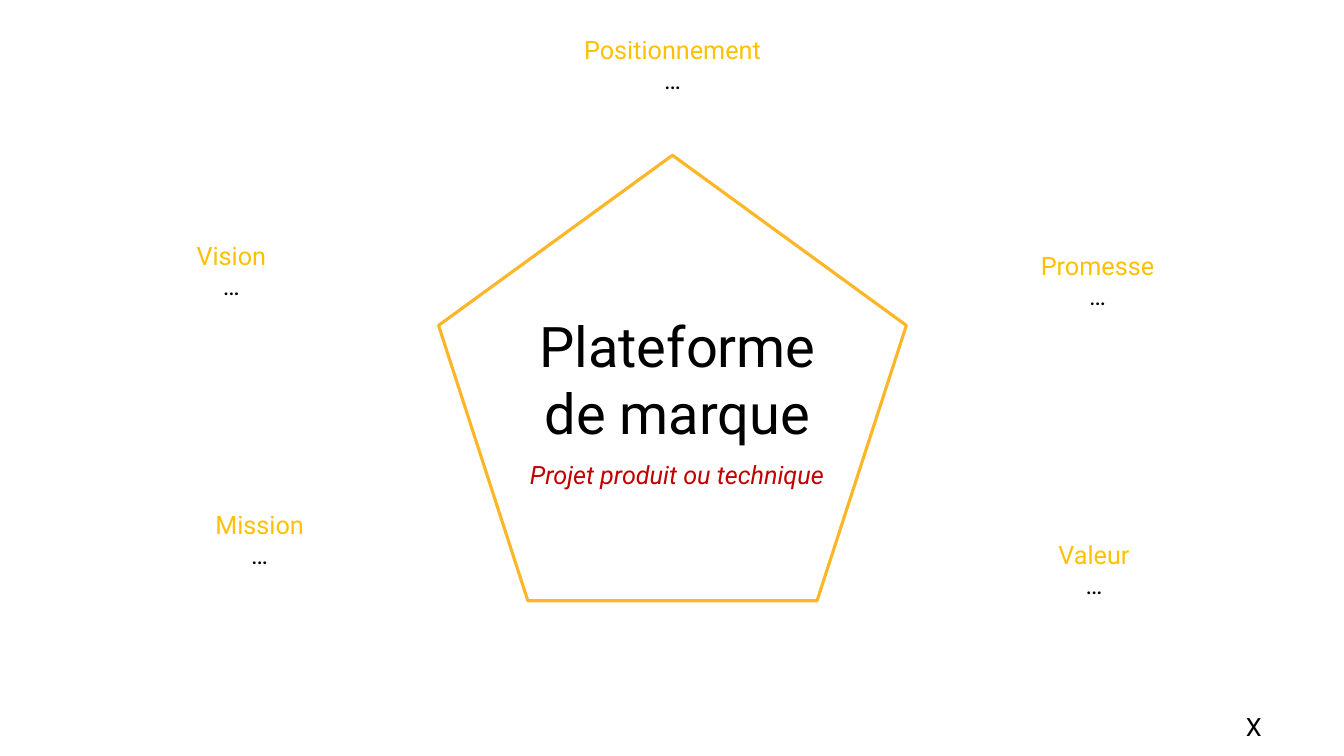
import pptx
import pptx.dml.color
import pptx.enum.shapes
import pptx.enum.text
import pptx.util

Inches = pptx.util.Inches
Shapes = pptx.enum.shapes.MSO_SHAPE
BLACK, WHITE, RED = "000000", "FFFFFF", "C00000"
LABEL_YELLOW, OUTLINE_YELLOW = "FFC000", "FDB628"


def color(value):
    return pptx.dml.color.RGBColor.from_string(value)


class BrandPage:
    font = "Roboto"

    def __init__(self, page):
        self.page = page

    def outline(self, kind, box, line, width):
        shape = self.page.shapes.add_shape(kind, *map(Inches, box))
        shape.shadow.inherit = False
        shape.fill.background()
        shape.line.color.rgb = color(line)
        shape.line.width = pptx.util.Pt(width)

    def panel(self, box, *lines):
        """Set lines on a white rectangle without a border."""
        shape = self.page.shapes.add_shape(Shapes.RECTANGLE, *map(Inches, box))
        shape.shadow.inherit = False
        shape.fill.solid()
        shape.fill.fore_color.rgb = color(WHITE)
        shape.line.fill.background()
        self.add_lines(shape, lines)

    def text(self, box, *lines):
        self.add_lines(self.page.shapes.add_textbox(*map(Inches, box)), lines)

    def add_lines(self, shape, lines):
        """Fill a shape with centred lines, each (words, colour, format)."""
        frame = shape.text_frame
        frame.word_wrap = True
        frame.auto_size = pptx.enum.text.MSO_AUTO_SIZE.SHAPE_TO_FIT_TEXT
        frame.vertical_anchor = pptx.enum.text.MSO_ANCHOR.TOP
        for index, (words, ink, extra) in enumerate(lines):
            para = frame.add_paragraph() if index else frame.paragraphs[0]
            para.alignment = pptx.enum.text.PP_ALIGN.CENTER
            span = para.add_run()
            span.text = words
            span.font.color.rgb = color(ink)
            values = {"name": self.font, "size": pptx.util.Pt(18)} | extra
            for name, value in values.items():
                setattr(span.font, name, value)


def main():
    deck = pptx.Presentation()
    deck.slide_width, deck.slide_height = Inches(13.33), Inches(7.5)
    brand = BrandPage(deck.slides.add_slide(deck.slide_layouts[6]))

    brand.outline(Shapes.REGULAR_PENTAGON, (4.35, 1.54, 4.64, 4.42), OUTLINE_YELLOW, 2.25)
    brand.panel((4.91, 3.04, 3.62, 1.45),
                ("Plateforme de marque", BLACK, {"size": pptx.util.Pt(40)}))

    labels = {
        "Positionnement": (4.56, 0.29, 4.22),
        "Promesse": (8.99, 2.43, 3.79),
        "Mission": (0.71, 5, 3.73),
        "Vision": (0.43, 2.33, 3.73),
        "Valeur": (8.53, 5.3, 4.64),
    }
    for label, place in labels.items():
        brand.text((*place, 0.71), (label, LABEL_YELLOW, {}), ("…", BLACK, {}))

    brand.text((12.19, 7.01, 0.49, 0.26), ("X", BLACK, {}))
    brand.panel((5, 4.51, 3.43, 0.4),
                ("Projet produit ou technique", RED, {"italic": True}))
    deck.save("out.pptx")


if __name__ == "__main__":
    main()
